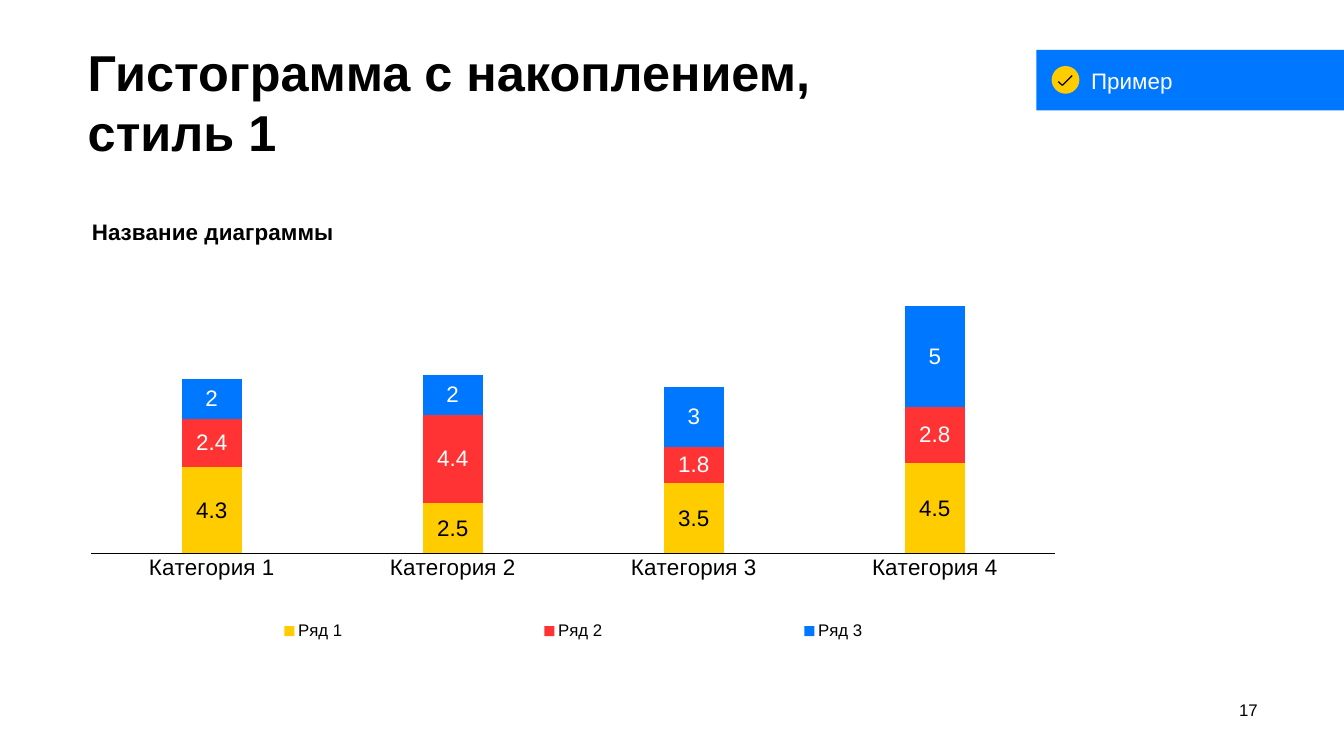
from lxml import etree
from pptx import Presentation
from pptx.chart.data import CategoryChartData
from pptx.dml.color import RGBColor
from pptx.enum import chart as ch, shapes, text
from pptx.oxml.ns import qn
from pptx.util import Pt

# Content
TITLE = ["Гистограмма с накоплением,", "стиль 1"]
CHART_TITLE = "Название диаграммы"
CATEGORIES = ["Категория 1", "Категория 2", "Категория 3", "Категория 4"]
SERIES = [  # name, values, fill, label colour
    ("Ряд 1", (4.3, 2.5, 3.5, 4.5), "yellow", "black"),
    ("Ряд 2", (2.4, 4.4, 1.8, 2.8), "red", "white"),
    ("Ряд 3", (2, 2, 3, 5), "blue", "white"),
]
BADGE = "Пример"
PAGE = "17"
TICK = [(1511.3, 116.6), (1517.4, 122), (1531.4, 108)]


class Theme:
    font = "Arial"
    colors = {"black": "000000", "white": "FFFFFF", "yellow": "FFCC00",
              "red": "FF3333", "blue": "0077FF"}
    title, body, small = 72, 32, 24


def rgb(name):
    return RGBColor.from_string(Theme.colors[name])


def style(font, size, color="black", bold=False):
    font.name, font.size, font.bold = Theme.font, Pt(size), bold
    font.color.rgb = rgb(color)


def frame(sp, anchor, left=0, top=0, right=0, bottom=0):
    tf = sp.text_frame
    tf.word_wrap = True
    tf.auto_size = text.MSO_AUTO_SIZE.NONE
    tf.vertical_anchor = anchor
    tf.margin_left, tf.margin_top = Pt(left), Pt(top)
    tf.margin_right, tf.margin_bottom = Pt(right), Pt(bottom)
    return tf


def add_run(p, content, size, color="black", bold=False):
    r = p.add_run()
    r.text = content
    style(r.font, size, color, bold)


def place(element, x, y, w=None, h=None, inner=False):
    """Give a chart part a manual layout, in fractions of the chart."""
    layout = element.find(qn("c:layout"))
    if layout is None:
        layout = etree.Element(qn("c:layout"))
        before = [e for e in element if e.tag in (qn("c:tx"), qn("c:legendPos"))]
        element.insert(element.index(before[-1]) + 1 if before else 0, layout)
    for old in list(layout):
        layout.remove(old)
    manual = etree.SubElement(layout, qn("c:manualLayout"))
    values = [("xMode", "edge"), ("yMode", "edge"), ("x", x), ("y", y), ("w", w), ("h", h)]
    if inner:
        values.insert(0, ("layoutTarget", "inner"))
    for tag, value in values:
        if value is not None:
            etree.SubElement(manual, qn("c:" + tag)).set("val", str(value))


def add_title(s):
    sp = s.shapes.title
    sp.left, sp.top, sp.width, sp.height = Pt(125.3), Pt(43.2), Pt(1671.8), Pt(114.5)
    p = frame(sp, text.MSO_ANCHOR.TOP, top=16).paragraphs[0]
    p.alignment = text.PP_ALIGN.LEFT
    p.line_spacing = Pt(86)
    for i, line in enumerate(TITLE):
        if i:
            p.add_line_break()
        add_run(p, line, Theme.title, bold=True)


def add_page_number(s):
    sp = s.shapes.add_textbox(Pt(1710), Pt(993.6), Pt(86.4), Pt(34.6))
    p = frame(sp, text.MSO_ANCHOR.MIDDLE, top=5.8).paragraphs[0]
    p.alignment = text.PP_ALIGN.RIGHT
    add_run(p, PAGE, Theme.small)


def add_stacked_chart(s):
    data = CategoryChartData()
    data.categories = CATEGORIES
    for name, values, *_ in SERIES:
        data.add_series(name, values)
    chart = s.shapes.add_chart(ch.XL_CHART_TYPE.COLUMN_STACKED, Pt(125.3), Pt(270.7),
                               Pt(1671.1), Pt(693.4), data).chart
    style(chart.font, Theme.small)

    # Title, plot area and legend
    chart.has_title = True
    add_run(chart.chart_title.text_frame.paragraphs[0], CHART_TITLE, Theme.body, bold=True)
    chart.chart_title.include_in_layout = False
    chart.has_legend = True
    chart.legend.position = ch.XL_LEGEND_POSITION.BOTTOM
    chart.legend.include_in_layout = False
    style(chart.legend.font, Theme.small)
    place(chart.chart_title._element, 0, 0.05)
    place(chart._chartSpace.chart.plotArea, 0.003, 0.17, 0.824, 0.58, inner=True)
    place(chart.legend._element, 0, 0.87, 0.83, 0.08)

    # Axes
    axis = chart.category_axis
    axis.major_tick_mark = ch.XL_TICK_MARK.NONE
    axis.format.line.color.rgb = rgb("black")
    axis.format.line.width = Pt(1)
    style(axis.tick_labels.font, Theme.body)
    values = chart.value_axis
    values.visible = values.has_major_gridlines = False
    values.minimum_scale, values.maximum_scale = 0, 14

    # Columns
    plot = chart.plots[0]
    plot.gap_width, plot.overlap, plot.vary_by_categories = 300, 100, False
    for series, (_, _, fill, label) in zip(plot.series, SERIES):
        series.format.fill.solid()
        series.format.fill.fore_color.rgb = rgb(fill)
        series.data_labels.show_value = True
        style(series.data_labels.font, Theme.body, label)


def add_filled(group, kind, color, *box):
    sp = group.shapes.add_shape(kind, *map(Pt, box))
    sp.shadow.inherit = False
    sp.fill.solid()
    sp.fill.fore_color.rgb = rgb(color)
    sp.line.fill.background()
    return sp


def add_badge(s):
    group = s.shapes.add_group_shape()
    sp = add_filled(group, shapes.MSO_SHAPE.RECTANGLE, "blue", 1480.3, 71.3, 439.9, 86.4)
    p = frame(sp, text.MSO_ANCHOR.MIDDLE, 78, 17.3, 7.2, 17.3).paragraphs[0]
    p.alignment = text.PP_ALIGN.LEFT
    add_run(p, BADGE, Theme.body, "white")
    add_filled(group, shapes.MSO_SHAPE.OVAL, "yellow", 1502, 94.3, 39.6, 39.6)
    for start, end in zip(TICK, TICK[1:]):
        line = group.shapes.add_connector(shapes.MSO_CONNECTOR.STRAIGHT, *map(Pt, start + end))
        line.line.color.rgb = rgb("black")
        line.line.width = Pt(1.75)
        etree.SubElement(line._element.spPr, qn("a:effectLst"))


def main():
    prs = Presentation()
    prs.slide_width, prs.slide_height = Pt(1919.5), Pt(1080)
    s = prs.slides.add_slide(prs.slide_layouts[5])
    add_title(s)
    add_page_number(s)
    add_stacked_chart(s)
    add_badge(s)
    prs.save("out.pptx")


if __name__ == "__main__":
    main()
